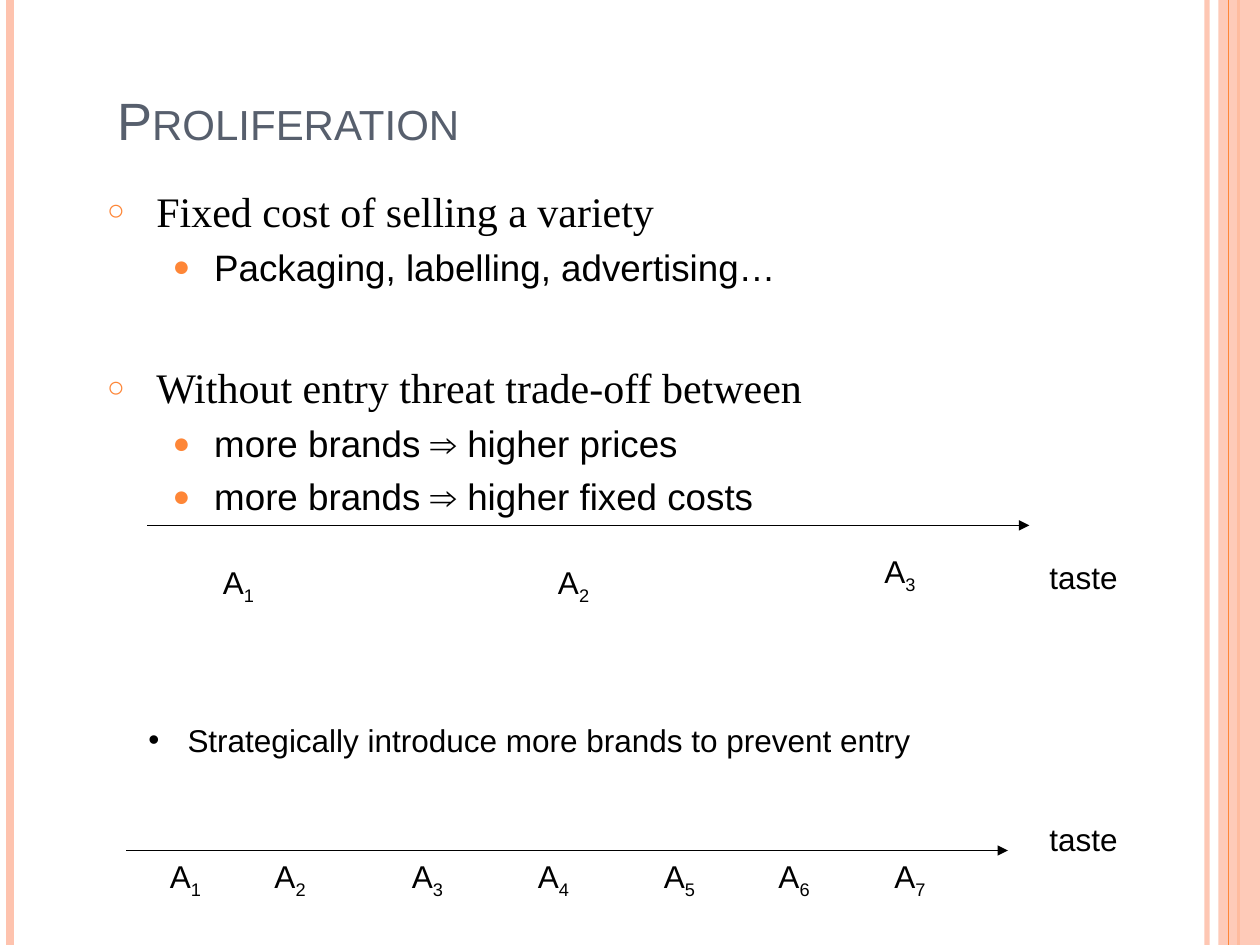
from lxml import etree
from pptx import Presentation
from pptx.dml.color import RGBColor
from pptx.enum.shapes import MSO_CONNECTOR, MSO_SHAPE
from pptx.enum.text import MSO_ANCHOR, MSO_AUTO_SIZE, PP_ALIGN
from pptx.oxml.ns import qn
from pptx.util import Inches, Pt

LINE = MSO_CONNECTOR.STRAIGHT
RECT = MSO_SHAPE.RECTANGLE
BOTTOM, TOP = MSO_ANCHOR.BOTTOM, MSO_ANCHOR.TOP
FIXED, GROW = MSO_AUTO_SIZE.NONE, MSO_AUTO_SIZE.SHAPE_TO_FIT_TEXT
LEFT = PP_ALIGN.LEFT

COLORS = {"peach": "FEC3AE", "orange": "FE8637", "slate": "575F6D", "black": "000000"}
SANS, SERIF = "Arial", "Times New Roman"


def child(node, tag, **attrs):
    return etree.SubElement(node, qn(tag), attrs)


class Page:
    def __init__(self, slide):
        self.slide = slide
        self.shapes = slide.shapes

    def color(self, name):
        return RGBColor.from_string(COLORS[name])

    def fade(self, fill, alpha):
        """Set the opacity of a solid fill, in percent."""
        for tint in fill.iter(qn("a:srgbClr")):
            child(tint, "a:alpha", val=str(alpha * 1000))

    def place(self, shape, left, top, width, height):
        shape.left, shape.top = Inches(left), Inches(top)
        shape.width, shape.height = Inches(width), Inches(height)

    def line(self, start, end, color, width, alpha=100, arrow=False):
        rule = self.shapes.add_connector(LINE, *map(Inches, start + end))
        rule.line.color.rgb = self.color(color)
        rule.line.width = Pt(width)
        props = rule._element.spPr
        stroke = props.find(qn("a:ln"))
        if alpha < 100:
            self.fade(stroke, alpha)
        if arrow:
            child(stroke, "a:tailEnd", type="triangle")
        child(props, "a:effectLst")

    def band(self, left, top, width, height, color, alpha):
        box = self.shapes.add_shape(RECT, *map(Inches, (left, top, width, height)))
        box.shadow.inherit = False
        box.fill.solid()
        box.fill.fore_color.rgb = self.color(color)
        self.fade(box._element.spPr, alpha)
        box.line.fill.background()

    def run(self, para, text, size, font=SANS, color="black"):
        run = para.add_run()
        run.text = text
        run.font.size = Pt(size)
        run.font.name = font
        run.font.color.rgb = self.color(color)
        return run

    def bullet(self, para, char, indent, hang, color="black", scale=100):
        props = para._p.get_or_add_pPr()
        props.set("marL", str(Inches(indent)))
        props.set("indent", str(-Inches(hang)))
        tint = child(props, "a:buClr")
        child(tint, "a:srgbClr", val=COLORS[color])
        child(props, "a:buSzPct", val=str(scale * 1000))
        child(props, "a:buFont", typeface=SANS)
        child(props, "a:buChar", char=char)

    def title(self, text, *spot):
        title = self.shapes.title
        self.place(title, *spot)
        frame = title.text_frame
        frame.auto_size = FIXED
        frame.vertical_anchor = BOTTOM
        para = frame.paragraphs[0]
        para.alignment = LEFT
        run = self.run(para, text, 30, color="slate")
        run.font._element.set("cap", "small")

    def body(self, items, *spot):
        body = self.slide.placeholders[1]
        self.place(body, *spot)
        frame = body.text_frame
        frame.auto_size = FIXED
        frame.vertical_anchor = TOP
        for i, (level, text, gap) in enumerate(items):
            para = frame.add_paragraph() if i else frame.paragraphs[0]
            para.level = level
            if level:
                self.bullet(para, "●", 0.85, 0.33, "orange", 80)
                self.run(para, text, 21)
            else:
                self.bullet(para, "○", 0.39, 0.39, "orange", 70)
                self.run(para, text, 24, SERIF)
            para.space_before = Pt(gap)

    def text(self, left, top, width, height, text, sub="", wrap=False):
        box = self.shapes.add_textbox(*map(Inches, (left, top, width, height)))
        frame = box.text_frame
        frame.word_wrap = wrap
        frame.auto_size = FIXED if wrap else GROW
        para = frame.paragraphs[0]
        self.run(para, text, 18)
        if sub:
            low = self.run(para, sub, 18)
            low.font._element.set("baseline", "-25000")
        return para

    def axis(self, left, y, brands, taste):
        """Draw a taste line with numbered brands below it."""
        self.line((left, y), (left + 7, y), "black", 1, arrow=True)
        for n, (x, top) in enumerate(brands, 1):
            self.text(x, top, 0.55, 0.5, "A", str(n))
        self.text(8.23, taste, 0.81, 0.5, "taste")


def main():
    deck = Presentation()
    deck.slide_width, deck.slide_height = Inches(10), Inches(7.5)
    page = Page(deck.slides.add_slide(deck.slide_layouts[1]))

    # Side stripes
    page.line((9.58, 0), (9.58, 7.5), "peach", 3, 93)
    page.line((0.08, 0), (0.08, 7.5), "peach", 4.5)
    page.line((9.83, 0), (9.83, 7.5), "orange", 1.5)
    page.band(9.67, 0, 0.33, 7.5, "peach", 87)
    page.line((9.75, 0), (9.75, 7.5), "orange", 0.75)

    # Title and list: level, text, space before
    page.title("Proliferation", 0.83, 0, 8.5, 1.25)
    page.body([
        (0, "Fixed cost of selling a variety", 0),
        (1, "Packaging, labelling, advertising…", 5),
        (0, "Without entry threat trade-off between", 42),
        (1, "more brands ⇒ higher prices", 5),
        (1, "more brands ⇒ higher fixed costs", 5),
    ], 0.75, 1.42, 8.5, 6.5)

    # Few brands
    page.axis(1.17, 4.17, [(1.67, 4.42), (4.33, 4.42), (6.92, 4.33)], 4.38)

    # Many brands
    spots = (1.25, 2.08, 3.17, 4.17, 5.17, 6.08, 7)
    page.axis(1, 6.75, [(x, 6.75) for x in spots], 6.46)

    # Entry strategy
    note = page.text(1.08, 5.67, 7.25, 0.9,
                     "Strategically introduce more brands to prevent entry", wrap=True)
    page.bullet(note, "•", 0.31, 0.31)

    deck.save("out.pptx")


if __name__ == "__main__":
    main()
